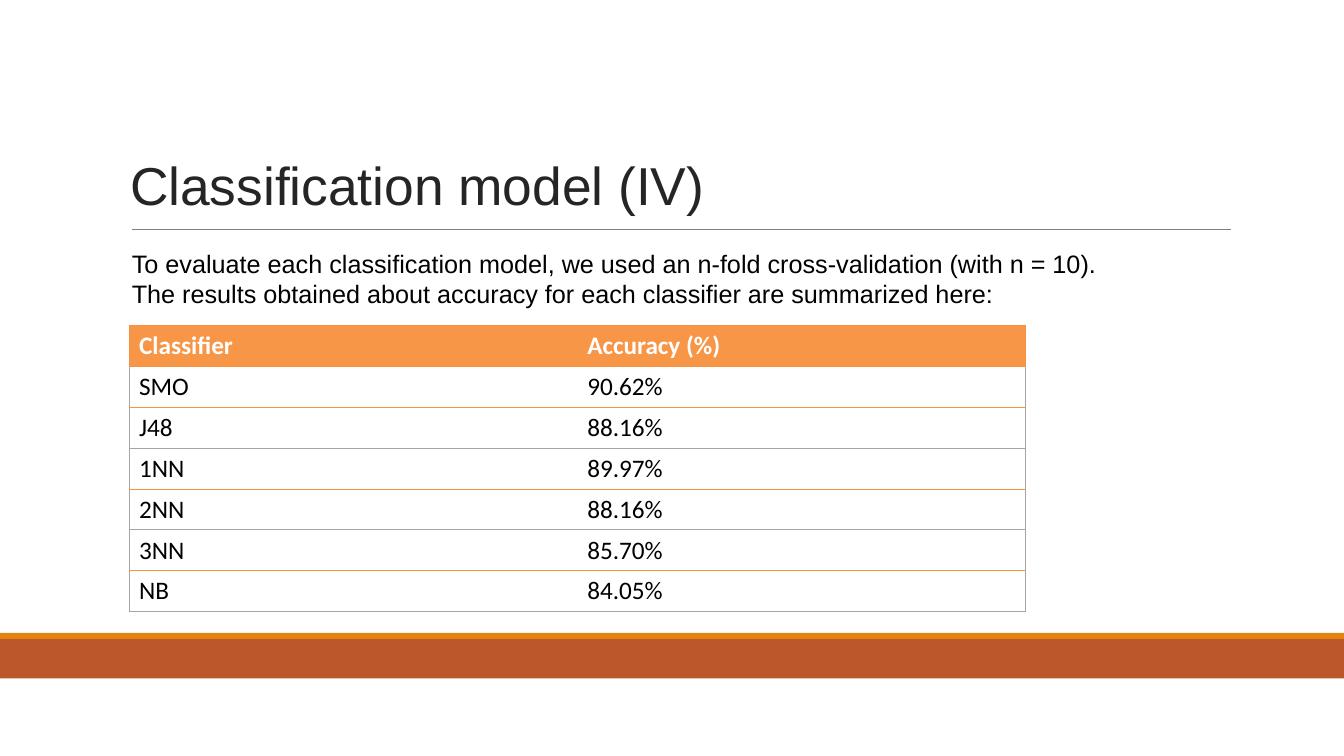
from lxml import etree
from pptx import Presentation
from pptx.dml.color import RGBColor
from pptx.enum.shapes import MSO_CONNECTOR, MSO_SHAPE
from pptx.enum.text import MSO_AUTO_SIZE
from pptx.oxml.ns import qn
from pptx.util import Inches, Pt

STRAIGHT = MSO_CONNECTOR.STRAIGHT
RECTANGLE = MSO_SHAPE.RECTANGLE
FIT_SHAPE = MSO_AUTO_SIZE.SHAPE_TO_FIT_TEXT
RUST = RGBColor(0xBC, 0x57, 0x2C)
AMBER = RGBColor(0xE4, 0x82, 0x11)
ORANGE = RGBColor(0xF7, 0x96, 0x46)
BORDER_ORANGE = RGBColor(0xF6, 0x92, 0x40)
BORDER_GRAY = RGBColor(0xA5, 0xA5, 0xA5)
RULE_GRAY = RGBColor(0x7F, 0x7F, 0x7F)
CHARCOAL = RGBColor(0x25, 0x25, 0x25)
BLACK = RGBColor(0, 0, 0)
WHITE = RGBColor(0xFF, 0xFF, 0xFF)


def add_run(paragraph, text, size, font, color, bold=False):
    run = paragraph.add_run()
    run.text = text
    run.font.size = Pt(size)
    run.font.name = font
    run.font.color.rgb = color
    run.font.bold = bold


def set_border(cell, side, color):
    border = etree.SubElement(cell._tc.get_or_add_tcPr(), qn(f"a:ln{side}"), w=str(Pt(0.75)))
    if color is None:
        etree.SubElement(border, qn("a:noFill"))
    else:
        fill = etree.SubElement(border, qn("a:solidFill"))
        etree.SubElement(fill, qn("a:srgbClr"), val=str(color))


prs = Presentation()
prs.slide_width = Inches(13.33)
prs.slide_height = Inches(7.5)
slide = prs.slides.add_slide(prs.slide_layouts[6])

for top, height, color in [(6.33, 0.4, RUST), (6.28, 0.06, AMBER)]:
    band = slide.shapes.add_shape(RECTANGLE, 0, Inches(top), prs.slide_width, Inches(height))
    band.shadow.inherit = False
    band.fill.solid()
    band.fill.fore_color.rgb = color
    band.line.fill.background()

title_rule = slide.shapes.add_connector(
    STRAIGHT, Inches(1.31), Inches(2.28), Inches(12.21), Inches(2.28))
title_rule.line.color.rgb = RULE_GRAY
title_rule.line.width = Pt(0.44)
etree.SubElement(title_rule._element.spPr, qn("a:effectLst"))

title = slide.shapes.add_textbox(Inches(1.28), Inches(1.5), Inches(6), Inches(0.65)).text_frame
title.word_wrap = True
title.auto_size = FIT_SHAPE
title.margin_left = title.margin_right = title.margin_bottom = 0
title.margin_top = Inches(0.01)
title_line = title.paragraphs[0]
title_line.space_before = Pt(0.9)
title_line._p.get_or_add_pPr().set("marL", str(Inches(0.01)))
add_run(title_line, "Classification model (IV)", 38.1, "Arial", CHARCOAL)

intro = slide.shapes.add_textbox(Inches(1.21), Inches(2.41), Inches(9.86), Inches(0.71)).text_frame
intro.word_wrap = False
intro.auto_size = FIT_SHAPE
intro_line = intro.paragraphs[0]
add_run(intro_line, "To evaluate each classification model, we used an n-fold cross-validation (with n = 10).",
        18, "Arial", BLACK)
intro_line.add_line_break()
add_run(intro_line, "The results obtained about accuracy for each classifier are summarized here:",
        18, "Arial", BLACK)

results = [
    ("Classifier", "Accuracy (%)"),
    ("SMO", "90.62%"),
    ("J48", "88.16%"),
    ("1NN", "89.97%"),
    ("2NN", "88.16%"),
    ("3NN", "85.70%"),
    ("NB", "84.05%"),
]
accuracy_table = slide.shapes.add_table(
    len(results), 2, Inches(1.28), Inches(3.23), Inches(8.89), Inches(2.84)).table
accuracy_table.first_row = False
accuracy_table.horz_banding = False

for row, values in enumerate(results):
    header = row == 0
    side_color = BORDER_ORANGE if header else BORDER_GRAY
    top_color = BORDER_ORANGE if row < 2 or row % 2 == 0 else BORDER_GRAY
    bottom_color = BORDER_ORANGE if header or row % 2 else BORDER_GRAY
    for col, value in enumerate(values):
        cell = accuracy_table.cell(row, col)
        set_border(cell, "L", side_color if col == 0 else None)
        set_border(cell, "R", side_color if col == 1 else None)
        set_border(cell, "T", top_color)
        set_border(cell, "B", bottom_color)
        if header:
            cell.fill.solid()
            cell.fill.fore_color.rgb = ORANGE
        else:
            cell.fill.background()
        add_run(cell.text_frame.paragraphs[0], value, 18, "Calibri",
                WHITE if header else BLACK, header)

prs.save("out.pptx")
